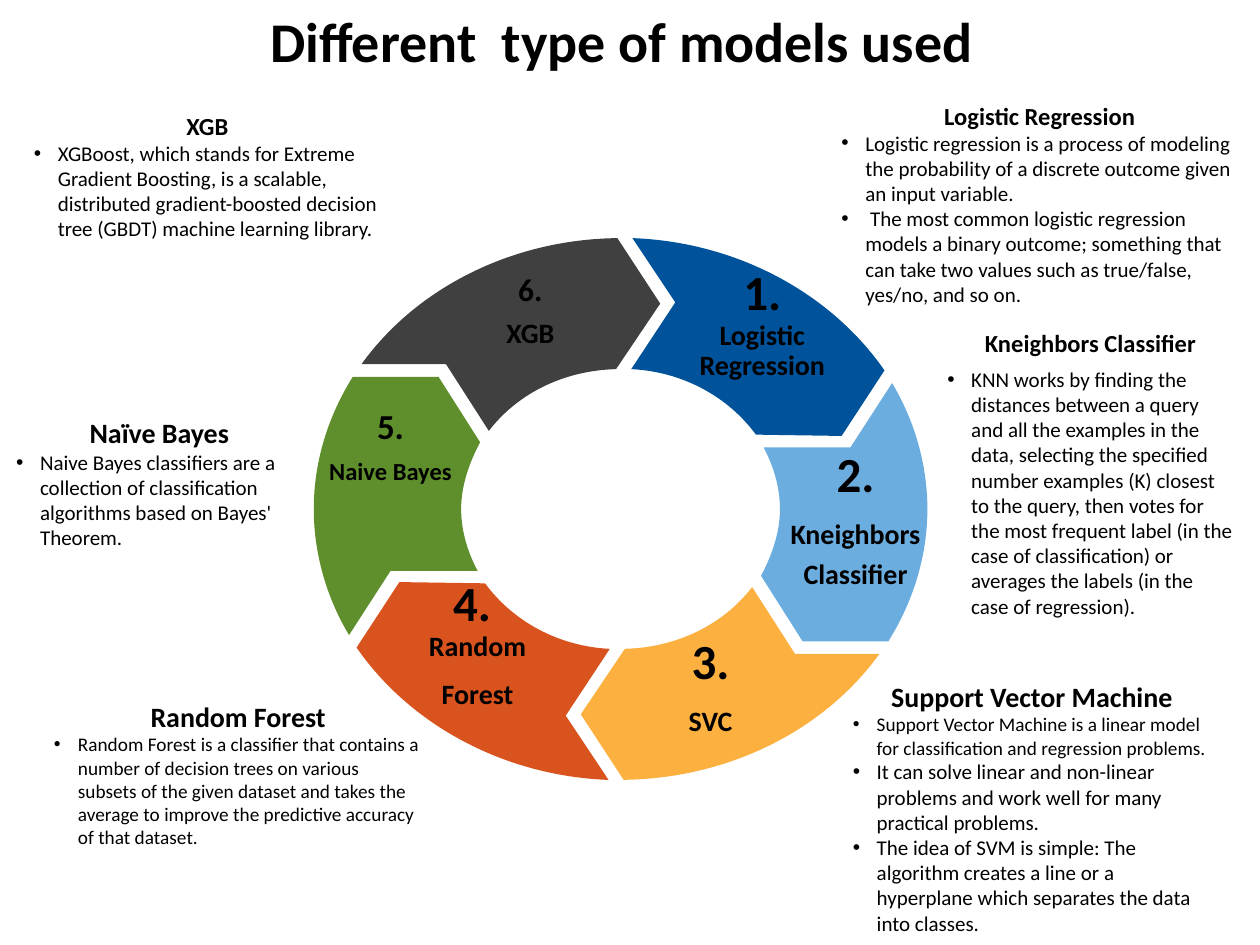
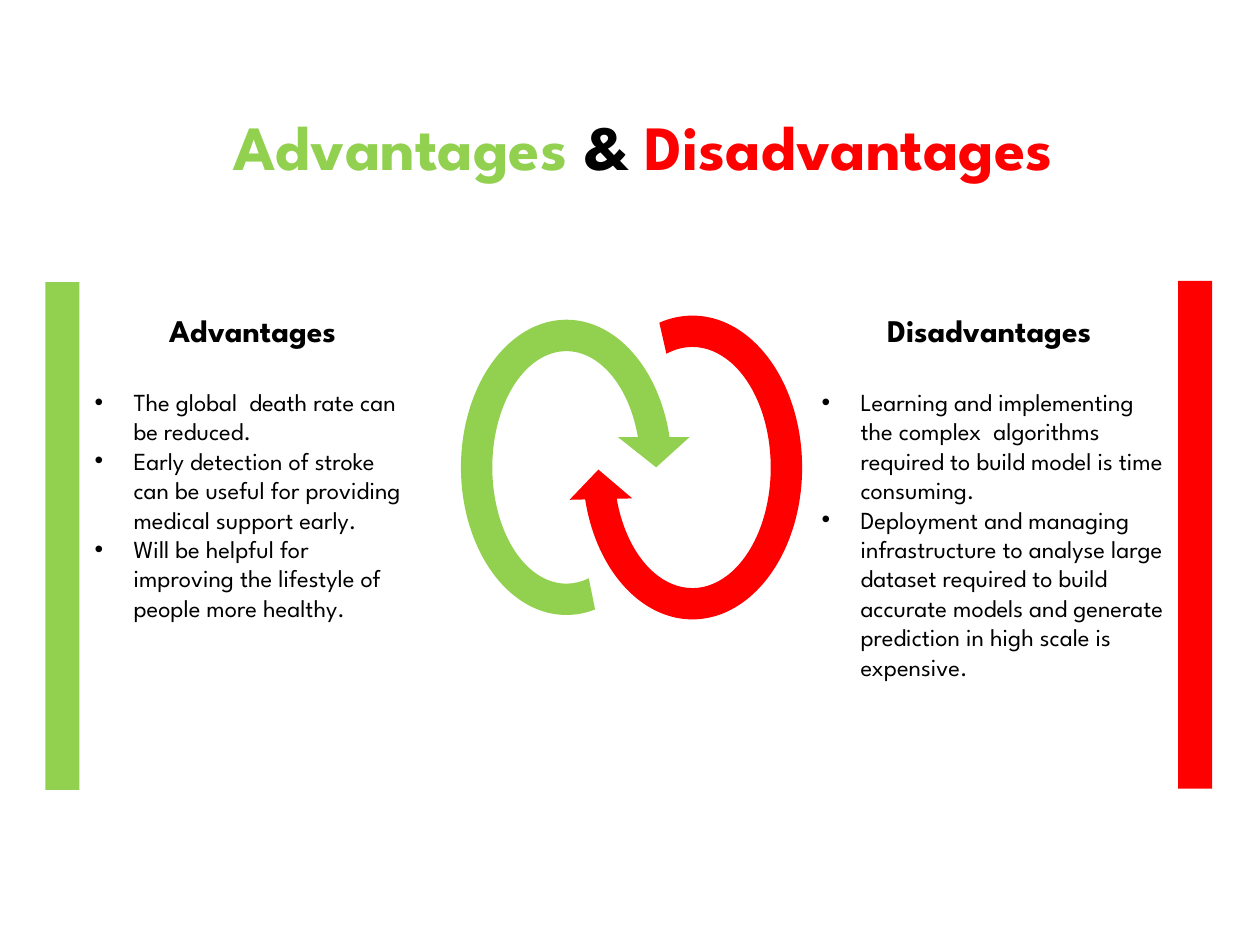
"""Build two slides: a ring of model types, and advantages against disadvantages."""
from dataclasses import dataclass
from typing import Any

from lxml.etree import SubElement
from pptx import Presentation
from pptx.dml.color import RGBColor
from pptx.enum.shapes import MSO_SHAPE
from pptx.enum.text import MSO_ANCHOR, MSO_AUTO_SIZE, PP_ALIGN
from pptx.oxml.ns import qn
from pptx.util import Inches, Pt


@dataclass(frozen=True)
class Theme:
    black: str = "000000"
    green: str = "92D050"
    red: str = "FF0000"
    ring: tuple = ("00539B", "6CADDF", "FBB040", "D9531E", "5F8F2C", "404040")
    model_font: str = "Calibri"
    verdict_font: str = "League Spartan"
    model_title: int = 32
    verdict_title: int = 36
    verdict_heading: int = 18
    verdict_body: int = 14
    number: int = 28
    label: int = 16


THEME = Theme()


@dataclass(frozen=True)
class Span:
    text: str
    size: float
    color: str = THEME.black
    bold: bool = True


@dataclass(frozen=True)
class Label:
    center: float
    top: float
    paragraphs: tuple


@dataclass(frozen=True)
class Note:
    at: tuple
    heading: Span
    bullets: tuple
    after: float = 0
    spacing: float = 1.0


@dataclass(frozen=True)
class Verdict:
    note: Note
    color: str
    bar: tuple
    arrow_left: float
    rotation: int
    adjustments: tuple


def number(text: str, size: float = THEME.number) -> Span:
    """Describe the number of a ring piece."""
    return Span(text, size)


def label(text: str, size: float = THEME.label) -> Span:
    """Describe a model name."""
    return Span(text, size)


def plain(text: str, size: float = 12) -> Span:
    """Describe text that is not bold."""
    return Span(text, size, bold=False)


RING_CENTER = (4.925, 4.04)
HALF_RING = (
    ((5.02, 1.89), (5.36, 2.4), (5.01, 2.93), (5.42, 2.95, 5.78, 3.15, 6, 3.45),
     (6.68, 3.46), (7.02, 2.94), (6.59, 2.32, 5.84, 1.92, 5.02, 1.89)),
    ((7.05, 5.09), (7.25, 4.77, 7.36, 4.41, 7.36, 4.04), (7.36, 3.69, 7.26, 3.34, 7.08, 3.04),
     (6.75, 3.55), (6.06, 3.55), (6.14, 3.7, 6.19, 3.87, 6.19, 4.04),
     (6.19, 4.22, 6.13, 4.4, 6.04, 4.57), (6.37, 5.09)),
    ((5.97, 4.66), (5.74, 4.96, 5.37, 5.14, 4.96, 5.15), (4.61, 5.67), (4.95, 6.19),
     (5.78, 6.18, 6.54, 5.8, 6.98, 5.19), (6.31, 5.19)),
)

LABELS = (
    Label(6.05, 2.13, ((number("1."), label("Logistic Regression")),)),
    Label(6.79, 3.57, ((number("2."),), (label("Kneighbors"),), (label("Classifier"),))),
    Label(5.64, 5.06, ((number("3."),), (label("SVC"),))),
    Label(3.79, 4.6, ((number("4. "), label("Random")), (label("Forest"),))),
    Label(3.1, 3.25, ((number("5.", 20),), (label("Naive Bayes", 14),))),
    Label(4.21, 2.18, ((number("6.", 18),), (label("XGB"),))),
)

NOTES = (
    Note((6.58, 0.75, 3.3, 1.75), label(" Logistic Regression", 14), (
        plain("Logistic regression is a process of modeling the probability of a discrete "
              "outcome given an input variable."),
        plain(" The most common logistic regression models a binary outcome; something that "
              "can take two values such as true/false, yes/no, and so on."))),
    Note((0.17, 0.83, 2.95, 1.55), label("XGB", 14), (
        plain("XGBoost, which stands for Extreme Gradient Boosting, is a scalable, distributed "
              "gradient-boosted decision tree (GBDT) machine learning library."),)),
    Note((7.42, 2.58, 2.47, 2.42), label("Kneighbors Classifier", 14), (
        plain("KNN works by finding the distances between a query and all the examples in the "
              "data, selecting the specified number examples (K) closest to the query, then "
              "votes for the most frequent label (in the case of classification) or averages "
              "the labels (in the case of regression)."),), after=4.9, spacing=0.9),
    Note((6.67, 5.34, 3.04, 2.15), label("Support Vector Machine"), (
        plain("Support Vector Machine is a linear model for classification and regression "
              "problems.", 11),
        plain("It can solve linear and non-linear problems and work well for many practical "
              "problems."),
        plain("The idea of SVM is simple: The algorithm creates a line or a hyperplane which "
              "separates the data into classes."))),
    Note((0.03, 3.25, 2.47, 1.35), label("Naïve Bayes"), (
        plain("Naive Bayes classifiers are a collection of classification algorithms based on "
              "Bayes' Theorem."),)),
    Note((0.33, 5.5, 3.12, 1.5), label("Random Forest"), (
        plain("Random Forest is a classifier that contains a number of decision trees on "
              "various subsets of the given dataset and takes the average to improve the "
              "predictive accuracy of that dataset.", 11),)),
)


def verdict_note(at: tuple, heading: str, *bullets: str) -> Note:
    """Describe one verdict list in the second slide's type sizes."""
    return Note(at, Span(heading, THEME.verdict_heading),
                tuple(plain(text, THEME.verdict_body) for text in bullets), after=21.6)


VERDICTS = (
    Verdict(verdict_note(
        (0.65, 2.42, 2.71, 3.84), "Advantages",
        "The global  death rate can be reduced.",
        "Early detection of stroke can be useful for providing medical support early.",
        "Will be helpful for improving the lifestyle of people more healthy."),
        THEME.green, (0.36, 2.24, 0.27, 4.03), 3.5, 0,
        (0.125, 11.423, 204.577, 47.147, 0.142)),
    Verdict(verdict_note(
        (6.42, 2.42, 2.93, 3.77), "Disadvantages ",
        "Learning and implementing the complex  algorithms required to build model is time "
        "consuming.",
        "Deployment and managing infrastructure to analyse large dataset required to build "
        "accurate models and generate prediction in high scale is expensive."),
        THEME.red, (9.35, 2.23, 0.27, 4.03), 4.5, 180,
        (0.125, 10.672, 204.577, 46.274, 0.125)),
)


def apply(target: Any, values: dict) -> None:
    """Set every named attribute on the target."""
    for name, value in values.items():
        setattr(target, name, value)


def place(shape: Any, at: tuple) -> None:
    """Move and size a shape, in inches."""
    apply(shape, dict(zip(("left", "top", "width", "height"), map(Inches, at))))


def prepare(box: Any, inset: tuple = (0.1, 0.05)) -> Any:
    """Give a box plain wrapped text from the top and return its frame."""
    frame = box.text_frame
    across, down = map(Inches, inset)
    apply(frame, {"word_wrap": True, "auto_size": MSO_AUTO_SIZE.NONE,
                  "vertical_anchor": MSO_ANCHOR.TOP, "margin_left": across,
                  "margin_right": across, "margin_top": down, "margin_bottom": down})
    return frame


def write(para: Any, span: Span, font_name: str) -> None:
    """Add one formatted span to a paragraph."""
    run = para.add_run()
    run.text = span.text
    apply(run.font, {"name": font_name, "size": Pt(span.size), "bold": span.bold})
    run.font.color.rgb = RGBColor.from_string(span.color)


def next_para(frame: Any, first: bool, align: Any = PP_ALIGN.CENTER,
              after: float = 0, spacing: float = 1.0) -> Any:
    """Return the first or a new paragraph with its spacing set."""
    para = frame.paragraphs[0] if first else frame.add_paragraph()
    apply(para, {"alignment": align, "space_before": Pt(0), "space_after": Pt(after),
                 "line_spacing": spacing})
    return para


def set_bullet(para: Any, indent: float) -> None:
    """Add a hanging bullet, or remove any when the indent is zero."""
    properties = para._p.get_or_add_pPr()
    properties.set("marL", str(Inches(indent)))
    properties.set("indent", str(-Inches(indent)))
    if indent:
        SubElement(properties, qn("a:buFont")).set("typeface", "Arial")
        SubElement(properties, qn("a:buChar")).set("char", "•")
    else:
        SubElement(properties, qn("a:buNone"))


def fill_note(box: Any, note: Note, font_name: str, indent: float) -> None:
    """Write a centred heading with its bullet list."""
    place(box, note.at)
    frame = prepare(box)
    heading = next_para(frame, True, after=note.after, spacing=note.spacing)
    set_bullet(heading, 0)
    write(heading, note.heading, font_name)
    for bullet in note.bullets:
        para = next_para(frame, False, PP_ALIGN.LEFT)
        set_bullet(para, indent)
        write(para, bullet, font_name)


def fill_title(page: Any, at: tuple, spans: tuple, font_name: str) -> None:
    """Place and write the page title."""
    title = page.shapes.title
    place(title, at)
    para = next_para(prepare(title), True)
    for span in spans:
        write(para, span, font_name)


def paint(shape: Any, color: str) -> None:
    """Fill a shape flat, with no line and no shadow."""
    shape.shadow.inherit = False
    shape.fill.solid()
    shape.fill.fore_color.rgb = RGBColor.from_string(color)
    shape.line.fill.background()


def half_turn(outline: tuple) -> tuple:
    """Turn an outline half round the ring's centre."""
    return tuple(tuple(2 * RING_CENTER[index % 2] - value for index, value in enumerate(part))
                 for part in outline)


def draw_piece(page: Any, outline: tuple, color: str) -> Any:
    """Draw one ring piece, with a Bézier curve for each part of six values."""
    corners = [tuple(map(Inches, part[-2:])) for part in outline]
    builder = page.shapes.build_freeform(*corners[0])
    builder.add_line_segments(corners[1:], close=True)
    piece = builder.convert_to_shape()
    for part, edge in zip(outline[1:], list(piece._element.iter(qn("a:lnTo")))):
        if len(part) == 6:
            edge.tag = qn("a:cubicBezTo")
            for position, (x, y) in enumerate((part[:2], part[2:4])):
                control = edge.makeelement(qn("a:pt"), {"x": str(Inches(x) - piece.left),
                                                        "y": str(Inches(y) - piece.top)})
                edge.insert(position, control)
    paint(piece, color)
    return piece


def draw_label(page: Any, item: Label, width: float = 1.5, height: float = 0.95) -> Any:
    """Write a numbered label on a ring piece."""
    box = page.shapes.add_textbox(0, 0, 0, 0)
    place(box, (item.center - width / 2, item.top, width, height))
    frame = prepare(box, (0, 0))
    for index, spans in enumerate(item.paragraphs):
        para = next_para(frame, index == 0, after=0.35 * spans[0].size, spacing=0.9)
        for position, span in enumerate(spans):
            if position:
                para.add_line_break()
            write(para, span, THEME.model_font)
    return box


def build_models(deck: Any) -> None:
    """Add the slide with the ring of models."""
    page = deck.slides.add_slide(deck.slide_layouts.get_by_name("Title Only"))
    fill_title(page, (1.52, 0, 6.83, 0.64),
               (Span("Different  type of models used", THEME.model_title),), THEME.model_font)
    outlines = HALF_RING + tuple(map(half_turn, HALF_RING))
    for outline, color, item in zip(outlines, THEME.ring, LABELS):
        page.shapes.add_group_shape([draw_piece(page, outline, color), draw_label(page, item)])
    for note in NOTES:
        fill_note(page.shapes.add_textbox(0, 0, 0, 0), note, THEME.model_font, 0.19)


def build_verdicts(deck: Any) -> None:
    """Add the slide that sets advantages against disadvantages."""
    page = deck.slides.add_slide(deck.slide_layouts.get_by_name("Two Content"))
    words = (("Advantages", THEME.green), (" & ", THEME.black), ("Disadvantages", THEME.red))
    fill_title(page, (0.49, 0.8, 9.23, 0.71),
               tuple(Span(text, THEME.verdict_title, color) for text, color in words),
               THEME.verdict_font)
    arrows = []
    for verdict, body in zip(VERDICTS, list(page.placeholders)[1:]):
        fill_note(body, verdict.note, THEME.verdict_font, 0.31)
        arrow = page.shapes.add_shape(MSO_SHAPE.CIRCULAR_ARROW, 0, 0, 0, 0)
        place(arrow, (verdict.arrow_left, 2.38, 1.99, 2.66))
        arrow.rotation = verdict.rotation
        for index, value in enumerate(verdict.adjustments):
            arrow.adjustments[index] = value
        bar = page.shapes.add_shape(MSO_SHAPE.RECTANGLE, 0, 0, 0, 0)
        place(bar, verdict.bar)
        for shape in (arrow, bar):
            paint(shape, verdict.color)
        arrows.append(arrow)
    page.shapes.add_group_shape(arrows)


def main() -> None:
    """Build and save the deck."""
    deck = Presentation()
    apply(deck, {"slide_width": Inches(10), "slide_height": Inches(7.5)})
    build_models(deck)
    build_verdicts(deck)
    deck.save("out.pptx")


if __name__ == "__main__":
    main()
